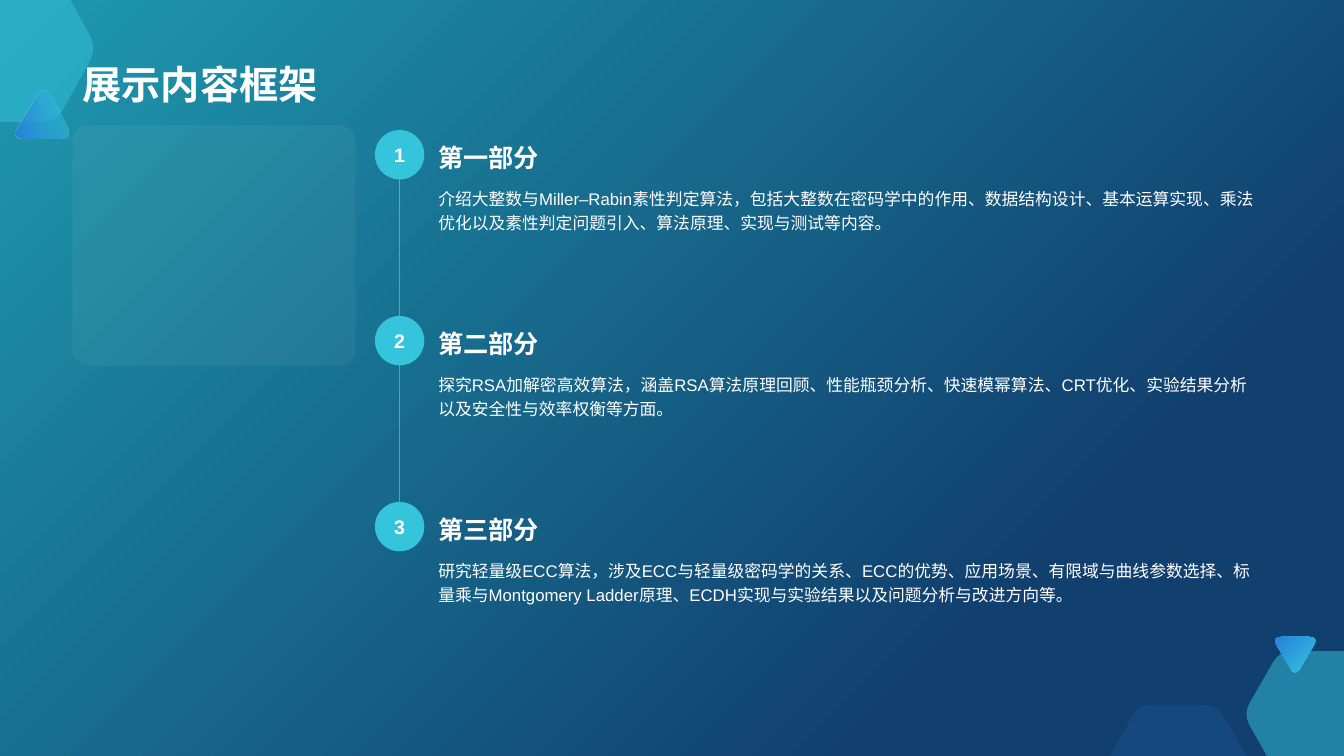
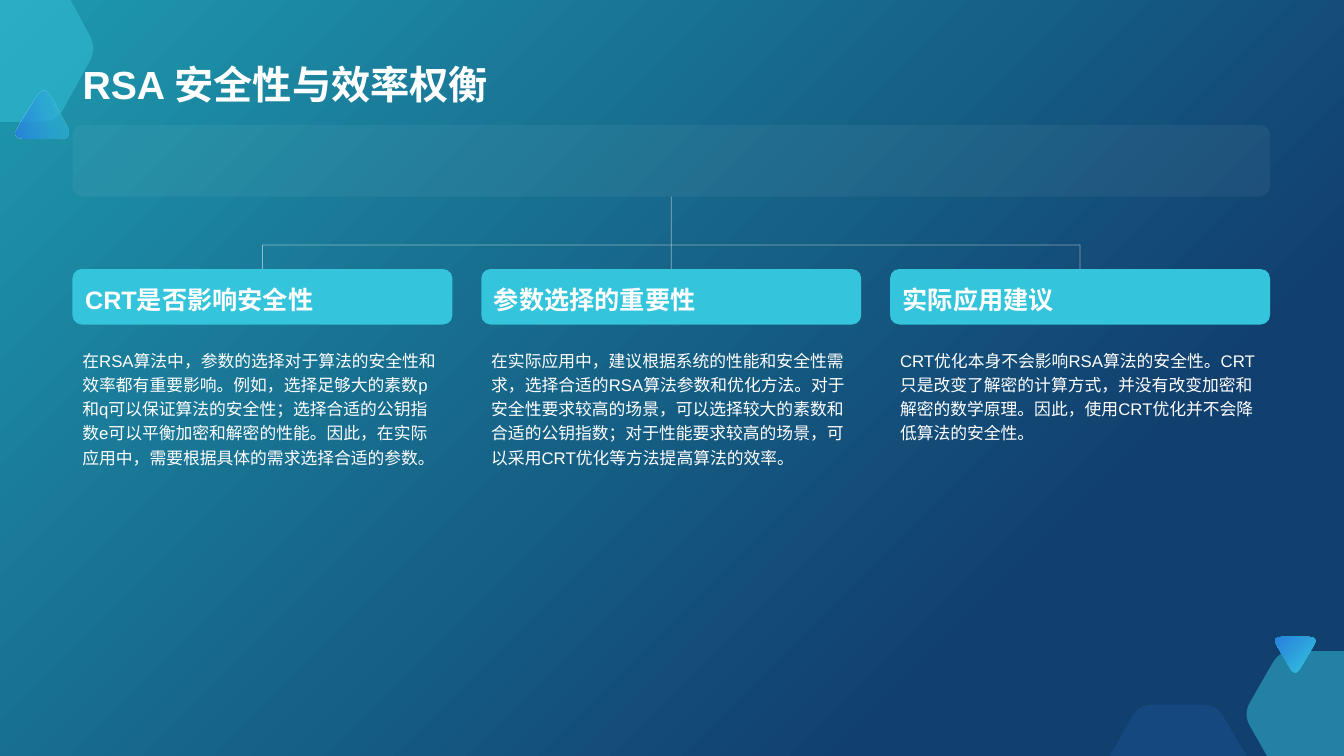
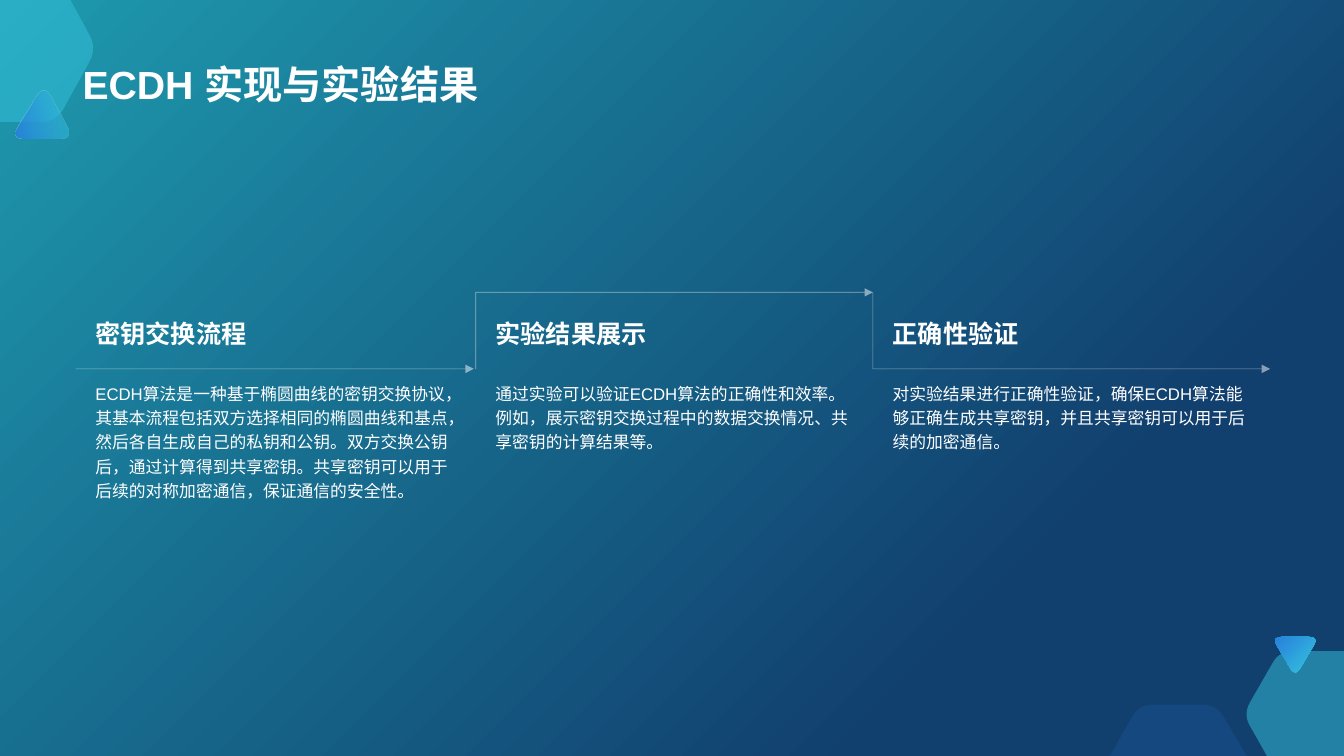
"""Build three slides on RSA and ECC with a shared gradient layout."""
from dataclasses import dataclass

from lxml import etree
from pptx import Presentation
from pptx import util as u
from pptx.dml.color import RGBColor
from pptx.enum import lang, shapes, text
from pptx.oxml.ns import qn

Pt = u.Pt
FORM = shapes.MSO_SHAPE
MID = text.MSO_ANCHOR.MIDDLE


@dataclass(frozen=True)
class Theme:
    """Colours, type sizes and margins of the deck."""
    white: str = "FFFFFF"
    cyan: str = "34C4DC"
    blue: str = "2881DC"
    teal: str = "1E99AE"
    navy: str = "113F6E"
    font: str = "Arial"
    title: float = 28
    head: float = 18
    badge: float = 14
    body: float = 12
    space: float = 1.2
    left: float = 51.8
    top: float = 89.3
    width: float = 855.4


T = Theme()

DECOR = [
    ([(0, 0, 0), (50.4, 0, 0), (69.2, 34.6, 11), (40.2, 87.1, 11), (0, 87.1, 0)],
     [T.cyan], [50], None),
    ([(913.9, 465.1, 9.5), (960, 465.1, 0), (960, 540, 0), (905, 540, 0),
      (888.1, 510.1, 9.5)], [T.cyan], [50], None),
    ([(908.4, 455, 7.3), (942, 455, 7.3), (925.2, 483.5, 7.3)],
     [T.cyan, T.blue], [100, 100], 135),
    ([(813.5, 503.3, 10), (869, 503.3, 10), (890.6, 540, 0), (792.7, 540, 0)],
     [T.blue], [15], None),
    ([(31.3, 60.2, 10.5), (52.1, 99.3, 10.5), (7.8, 99.3, 10.5)],
     [T.cyan, T.blue], [50, 96], 195),
]

PARTS = [
    ("第一部分", "介绍大整数与Miller–Rabin素性判定算法，包括大整数在密码学中的作用、数据结构设计、基本运算实现、乘法优化以及素性判定问题引入、算法原理、实现与测试等内容。"),
    ("第二部分", "探究RSA加解密高效算法，涵盖RSA算法原理回顾、性能瓶颈分析、快速模幂算法、CRT优化、实验结果分析以及安全性与效率权衡等方面。"),
    ("第三部分", "研究轻量级ECC算法，涉及ECC与轻量级密码学的关系、ECC的优势、应用场景、有限域与曲线参数选择、标量乘与Montgomery Ladder原理、ECDH实现与实验结果以及问题分析与改进方向等。"),
]
TRADES = [
    ("CRT是否影响安全性", "在RSA算法中，参数的选择对于算法的安全性和效率都有重要影响。例如，选择足够大的素数p和q可以保证算法的安全性；选择合适的公钥指数e可以平衡加密和解密的性能。因此，在实际应用中，需要根据具体的需求选择合适的参数。"),
    ("参数选择的重要性", "在实际应用中，建议根据系统的性能和安全性需求，选择合适的RSA算法参数和优化方法。对于安全性要求较高的场景，可以选择较大的素数和合适的公钥指数；对于性能要求较高的场景，可以采用CRT优化等方法提高算法的效率。"),
    ("实际应用建议", "CRT优化本身不会影响RSA算法的安全性。CRT只是改变了解密的计算方式，并没有改变加密和解密的数学原理。因此，使用CRT优化并不会降低算法的安全性。"),
]
STAGES = [
    ("密钥交换流程", "ECDH算法是一种基于椭圆曲线的密钥交换协议，其基本流程包括双方选择相同的椭圆曲线和基点，然后各自生成自己的私钥和公钥。双方交换公钥后，通过计算得到共享密钥。共享密钥可以用于后续的对称加密通信，保证通信的安全性。"),
    ("实验结果展示", "通过实验可以验证ECDH算法的正确性和效率。例如，展示密钥交换过程中的数据交换情况、共享密钥的计算结果等。"),
    ("正确性验证", "对实验结果进行正确性验证，确保ECDH算法能够正确生成共享密钥，并且共享密钥可以用于后续的加密通信。"),
]


def rgb(code):
    """Turn a hex code into a colour."""
    return RGBColor.from_string(code)


def fade(node, *shares):
    """Give the colours in a node their opacity in percent."""
    for tone, share in zip(node.iter(qn("a:srgbClr")), shares):
        etree.SubElement(tone, qn("a:alpha"), val=str(share * 1000))


def blend(fill, tones, angle, end=1):
    """Fill with a two-stop gradient."""
    fill.gradient()
    fill.gradient_angle = angle
    for stop, tone, spot in zip(fill.gradient_stops, tones, (0, end)):
        stop.color.rgb = rgb(tone)
        stop.position = spot


def write(frame, words, size, bold=False, anchor=text.MSO_ANCHOR.TOP,
          align=text.PP_ALIGN.LEFT, space=T.space, wrap=True):
    """Set one paragraph of text in a frame."""
    frame.text = words
    frame.word_wrap = wrap
    frame.auto_size = text.MSO_AUTO_SIZE.NONE
    frame.vertical_anchor = anchor
    para = frame.paragraphs[0]
    para.alignment = align
    para.line_spacing = space
    for run in para.runs:
        font = run.font
        font.size, font.bold, font.name = Pt(size), bold, T.font
        font.color.rgb = rgb(T.white)
        font.language_id = lang.MSO_LANGUAGE_ID.SIMPLIFIED_CHINESE
        latin = run.font._element.find(qn("a:latin"))
        latin.addnext(etree.Element(qn("a:ea"), typeface=T.font))


def label(slide, box, words, size, **style):
    """Add a text box."""
    frame = slide.shapes.add_textbox(*map(Pt, box)).text_frame
    write(frame, words, size, **style)


def block(slide, form, box, tone, share=100, bend=None):
    """Add a plain filled shape."""
    item = slide.shapes.add_shape(form, *map(Pt, box))
    item.shadow.inherit = False
    item.fill.solid()
    item.fill.fore_color.rgb = rgb(tone)
    item.line.fill.background()
    if share < 100:
        fade(item.element.spPr, share)
    if bend is not None:
        item.adjustments[0] = bend
    return item


def panel(slide, width, height, bend):
    """Add the pale panel under the title."""
    block(slide, FORM.ROUNDED_RECTANGLE, (T.left, T.top, width, height),
          T.white, 5, bend)


def rule(slide, *ends, arrow=False):
    """Add a thin translucent line, with an arrowhead if asked."""
    item = slide.shapes.add_connector(shapes.MSO_CONNECTOR.STRAIGHT, *map(Pt, ends))
    item.line.width = Pt(0.5)
    item.line.color.rgb = rgb(T.white)
    props = item.element.spPr
    fade(props, 50)
    if arrow:
        etree.SubElement(props.find(qn("a:ln")), qn("a:tailEnd"), type="triangle")
    etree.SubElement(props, qn("a:effectLst"))


def curve(nodes, steps=8):
    """Return outline points with each corner rounded by its own cut."""
    points = []
    for i, (x, y, cut) in enumerate(nodes):
        if not cut:
            points.append((x, y))
            continue
        ends = []
        for px, py, _ in (nodes[i - 1], nodes[(i + 1) % len(nodes)]):
            part = cut / ((px - x) ** 2 + (py - y) ** 2) ** 0.5
            ends.append((x + (px - x) * part, y + (py - y) * part))
        (ax, ay), (bx, by) = ends
        for step in range(steps + 1):
            t = step / steps
            a, m, b = (1 - t) ** 2, 2 * t * (1 - t), t * t
            points.append((a * ax + m * x + b * bx, a * ay + m * y + b * by))
    return [(Pt(x), Pt(y)) for x, y in points]


def dress(layout, slide):
    """Put the background and corner shapes on the layout."""
    blend(layout.background.fill, (T.teal, T.navy), 315, 0.77)
    for i, (nodes, tones, shares, angle) in enumerate(DECOR, 1):
        points = curve(nodes)
        pen = slide.shapes.build_freeform(*points[0])
        pen.add_line_segments(points[1:], close=True)
        item = pen.convert_to_shape()
        item.name = f"Corner {i}"
        item.shadow.inherit = False
        item.line.fill.background()
        if angle is None:
            item.fill.solid()
            item.fill.fore_color.rgb = rgb(tones[0])
        else:
            blend(item.fill, tones, angle)
        fade(item.element.spPr, *shares)
        item.element.nvSpPr.cNvPr.set("id", str(20 + i))
        layout.shapes.element.append(item.element)


def start(deck, words):
    """Add a slide with its title."""
    slide = deck.slides.add_slide(deck.slide_layouts[5])
    title = slide.shapes.title
    title.left, title.top = Pt(T.left), Pt(10.1)
    title.width, title.height = Pt(T.width), Pt(70.5)
    write(title.text_frame, words, T.title, bold=True,
          anchor=text.MSO_ANCHOR.BOTTOM, space=1.0)
    return slide


def outline(slide):
    """Draw the numbered list of parts."""
    first, pitch, size, left = 92.9, 132.8, 35.3, 267.8
    panel(slide, 202.3, 172.1, 0.07)
    axis = left + size / 2
    rule(slide, axis, first + size, axis, first + 2 * pitch)
    for i, (head, body) in enumerate(PARTS):
        top = first + i * pitch
        label(slide, (306, top + size, 600.5, 89.3), body, T.body)
        label(slide, (306, top, 600.5, size), head, T.head, bold=True, anchor=MID)
        badge = block(slide, FORM.OVAL, (left, top, size, size), T.cyan)
        write(badge.text_frame, str(i + 1), T.badge, bold=True, anchor=MID,
              align=text.PP_ALIGN.CENTER, space=1.0, wrap=False)


def tree(slide):
    """Draw three cards hanging from one panel."""
    wide, top, bus, base = 271.4, 192.2, 175, 140.4
    pitch = (T.width - wide) / 2
    panel(slide, T.width, base - T.top, 0.15)
    mids = [T.left + i * pitch + wide / 2 for i in range(3)]
    rule(slide, mids[0], bus, mids[2], bus)
    for mid, rise, (head, body) in zip(mids, (bus, base, bus), TRADES):
        left = mid - wide / 2
        rule(slide, mid, rise, mid, top)
        card = block(slide, FORM.ROUNDED_RECTANGLE, (left, top, wide, 39.6), T.cyan)
        write(card.text_frame, head, T.head, bold=True, anchor=MID)
        label(slide, (left, 244.1, wide, 238.3), body, T.body)


def flow(slide):
    """Draw three stages along a stepped arrow line."""
    high, low, gap = 208.8, 263.5, 7
    edges = [54, 339.8, 623.5, 907.2]
    for i, (head, body) in enumerate(STAGES):
        left, right = edges[i], edges[i + 1]
        level = high if i == 1 else low
        if i:
            rule(slide, left, high, left, low)
        rule(slide, left, level, right - (0 if i else 1.4), level, arrow=True)
        label(slide, (left + gap, 211.7, 270, 49), head, T.head, bold=True, anchor=MID)
        label(slide, (left + gap, 267.8, 270, 215.3), body, T.body)


def main():
    """Build and save the deck."""
    deck = Presentation()
    deck.slide_width, deck.slide_height = Pt(960), Pt(540)
    pages = [("展示内容框架", outline), ("RSA 安全性与效率权衡", tree),
             ("ECDH 实现与实验结果", flow)]
    for i, (title, draw) in enumerate(pages):
        slide = start(deck, title)
        if i == 0:
            dress(deck.slide_layouts[5], slide)
        draw(slide)
    deck.save("out.pptx")


if __name__ == "__main__":
    main()
